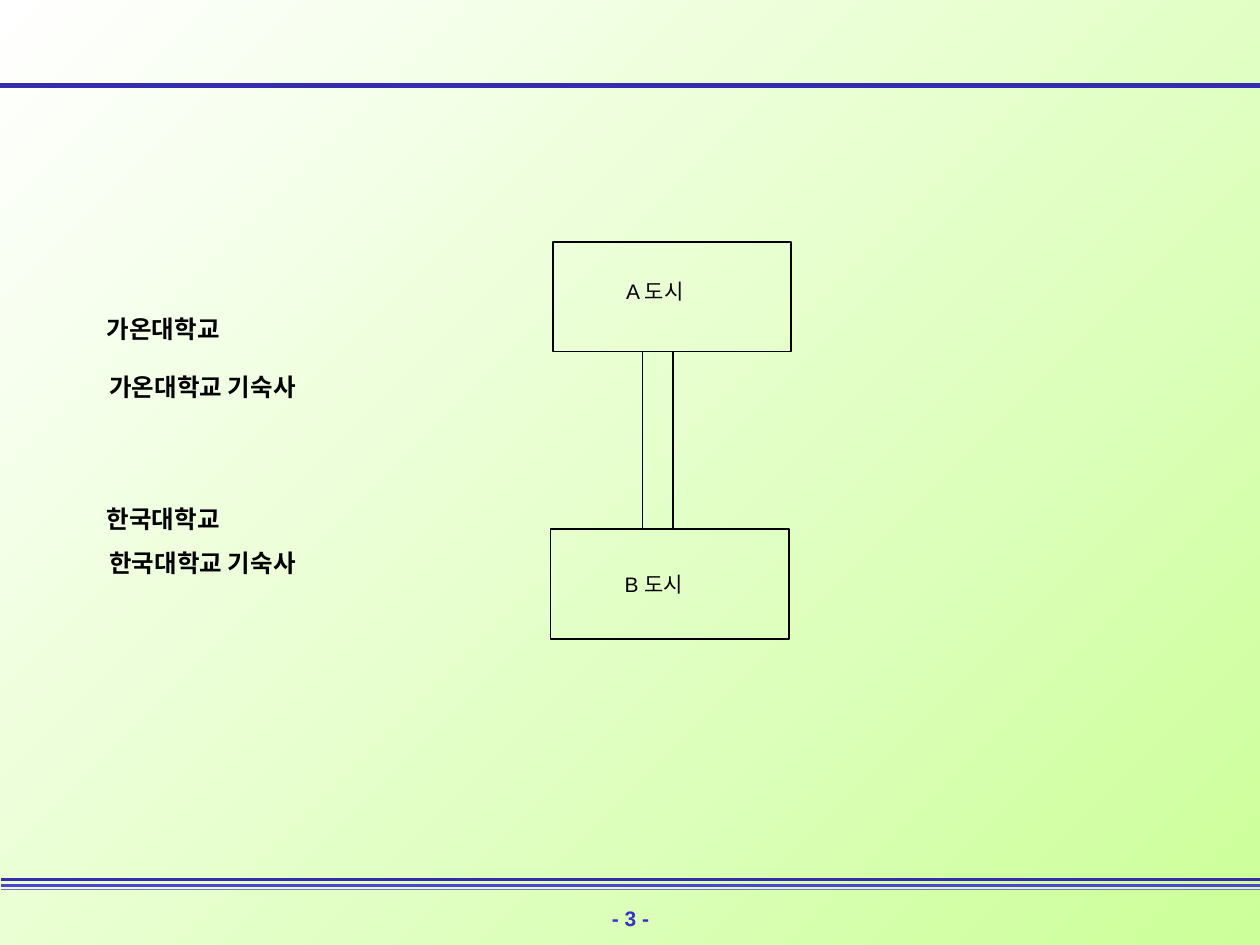
"""Build a slide with two cities joined by a road and a list of campus places."""
from typing import NamedTuple

from lxml import etree
from pptx import Presentation, util as u
from pptx.dml.color import RGBColor
from pptx.enum import shapes, text
from pptx.oxml.ns import qn

WIDTH, HEIGHT = u.Inches(10), u.Inches(7.5)
COLUMNS, ROWS = 100, 75
BLACK = "000000"


class Box(NamedTuple):
    """A rectangle in grid columns and rows."""
    left: float
    top: float
    width: float
    height: float


class Rule(NamedTuple):
    """A line across the full slide."""
    left: float
    row: float
    color: str
    weight: float


class Label(NamedTuple):
    """A single line of text in its box."""
    words: str
    box: Box
    size: float = 12
    bold: bool = False
    color: str = BLACK
    align: text.PP_ALIGN = text.PP_ALIGN.LEFT


def x(column: float) -> int:
    """Return the length of a number of columns."""
    return round(WIDTH * column / COLUMNS)


def y(row: float) -> int:
    """Return the length of a number of rows."""
    return round(HEIGHT * row / ROWS)


def place(box: Box) -> tuple[int, int, int, int]:
    """Return left, top, width and height of a box."""
    return x(box.left), y(box.top), x(box.width), y(box.height)


def rgb(code: str) -> RGBColor:
    """Turn a hex string into a colour."""
    return RGBColor.from_string(code)


def paint_background(slide, start: str, end: str) -> None:
    """Fill the slide with a gradient from top left to bottom right."""
    fill = slide.background.fill
    fill.gradient()
    fill.gradient_angle = 315
    for stop, code in zip(fill.gradient_stops, (start, end)):
        stop.color.rgb = rgb(code)


def draw_rule(slide, rule: Rule) -> None:
    """Draw a horizontal rule without a shadow."""
    line = slide.shapes.add_connector(
        shapes.MSO_CONNECTOR.STRAIGHT,
        x(rule.left), y(rule.row), x(rule.left + COLUMNS), y(rule.row))
    line.line.color.rgb = rgb(rule.color)
    line.line.width = u.Pt(rule.weight)
    etree.SubElement(line._element.spPr, qn("a:effectLst"))


def draw_outline(slide, box: Box) -> None:
    """Draw an unfilled rectangle."""
    outline = slide.shapes.add_shape(shapes.MSO_SHAPE.RECTANGLE, *place(box))
    outline.shadow.inherit = False
    outline.fill.background()
    outline.line.color.rgb = rgb(BLACK)
    outline.line.width = u.Pt(1)


def draw_label(slide, label: Label) -> None:
    """Write one unwrapped line of text."""
    frame = slide.shapes.add_textbox(*place(label.box)).text_frame
    frame.word_wrap = False
    frame.auto_size = text.MSO_AUTO_SIZE.SHAPE_TO_FIT_TEXT
    paragraph = frame.paragraphs[0]
    paragraph.text = label.words
    paragraph.alignment = label.align
    font = paragraph.font
    font.name, font.size, font.bold = "Arial", u.Pt(label.size), label.bold
    font.color.rgb = rgb(label.color)


RULES = [
    Rule(0, 6.8, "352CB0", 3),
    Rule(0.1, 70.3, "4F45D1", 1.5),
    Rule(0.1, 70.6, "7870DC", 1),
    Rule(0.1, 69.8, "352CB0", 2.25),
]
CITY_A = Box(43.9, 19.2, 18.9, 8.7)
CITY_B = Box(43.7, 42, 18.9, 8.7)
ROAD = Box(51, 27.9, 2.4, 14.1)
LABELS = [
    Label("- 3 -", Box(44, 71.4, 12.1, 3), bold=True, color="3333CC",
          align=text.PP_ALIGN.CENTER),
    Label("B 도시", Box(48.6, 44.9, 7.8, 3)),
    Label("A 도시", Box(48.7, 21.6, 7.8, 3)),
    Label("가온대학교", Box(7.5, 24.4, 12, 3.4), 14, True),
    Label("가온대학교 기숙사", Box(7.7, 29, 18, 3.4), 14, True),
    Label("한국대학교", Box(7.5, 39.5, 12, 3.4), 14, True),
    Label("한국대학교 기숙사", Box(7.7, 43, 18, 3.4), 14, True),
]


def main() -> None:
    """Build and save the slide."""
    deck = Presentation()
    deck.slide_width, deck.slide_height = WIDTH, HEIGHT
    slide = deck.slides.add_slide(deck.slide_layouts[6])
    paint_background(slide, "FFFFFF", "CCFF99")
    for rule in RULES:
        draw_rule(slide, rule)
    for outline in (CITY_A, CITY_B, ROAD):
        draw_outline(slide, outline)
    for label in LABELS:
        draw_label(slide, label)
    deck.save("out.pptx")


if __name__ == "__main__":
    main()
